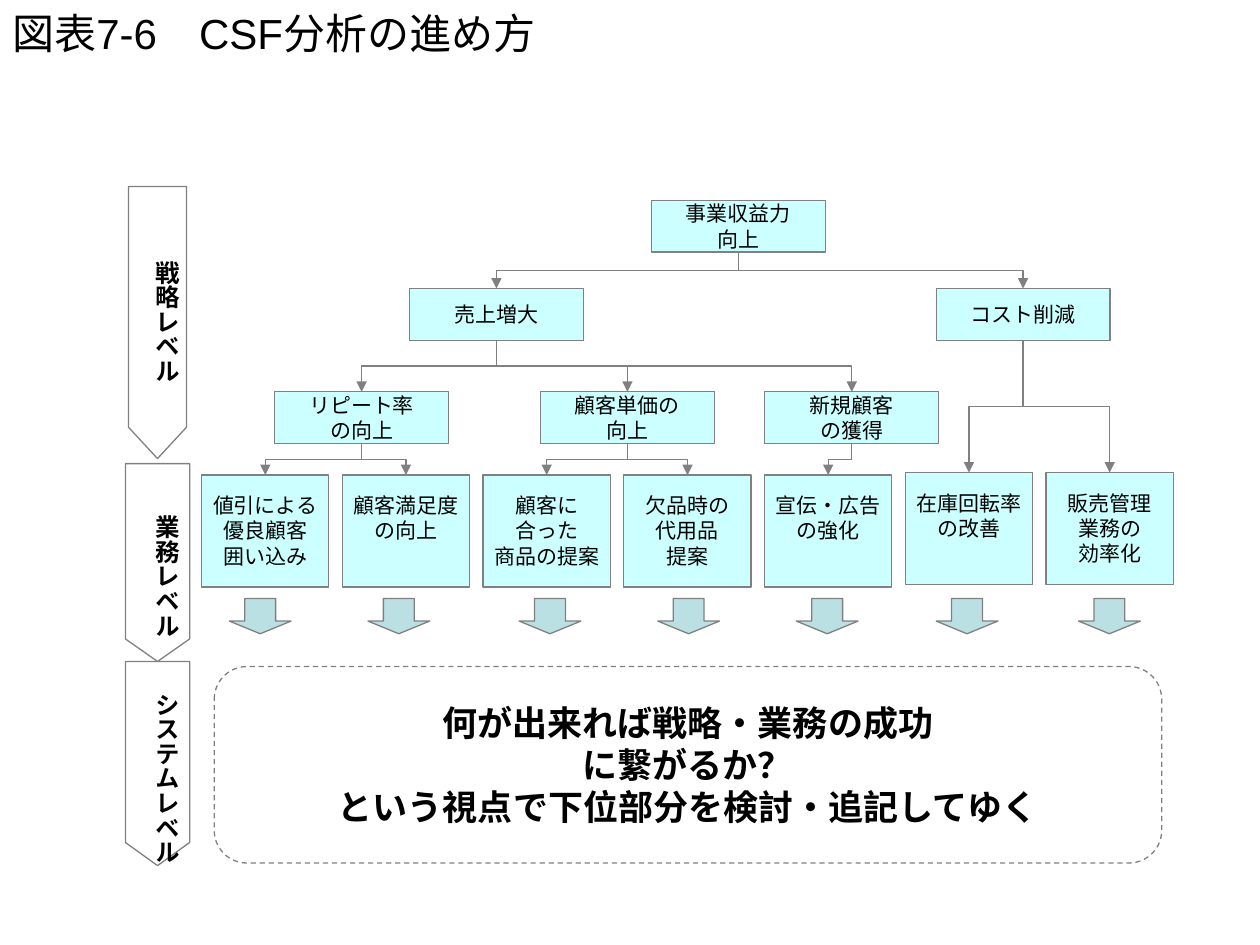
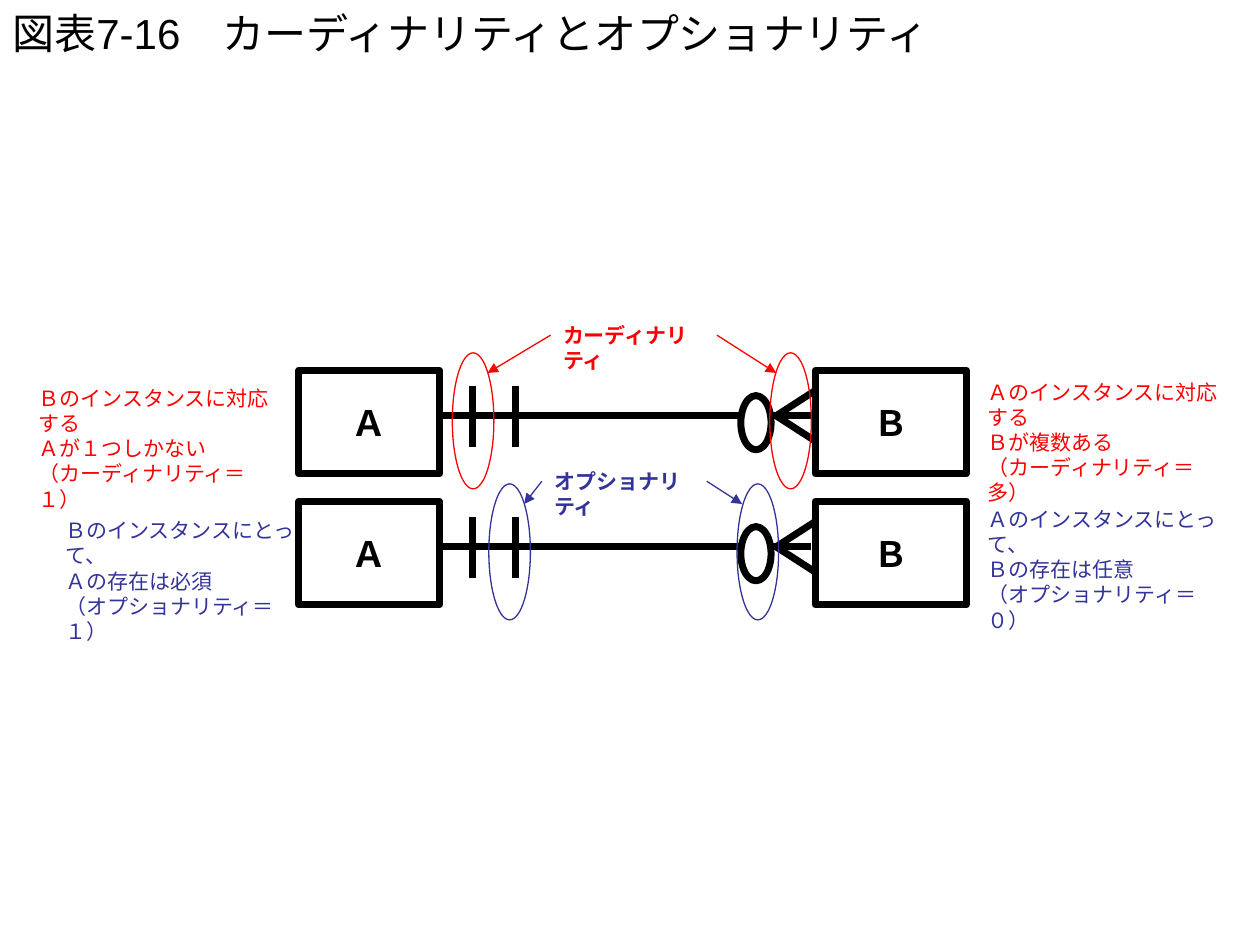
from dataclasses import dataclass
from typing import Optional

from lxml import etree
from pptx import Presentation
from pptx.dml.color import RGBColor
from pptx.enum import dml, shapes, text
from pptx.oxml import ns
from pptx.util import Inches, Pt

BLACK = RGBColor(0x00, 0x00, 0x00)
WHITE = RGBColor(0xFF, 0xFF, 0xFF)
GRAY = RGBColor(0x80, 0x80, 0x80)
PALE_CYAN = RGBColor(0xCC, 0xFF, 0xFF)
TEAL = RGBColor(0xBB, 0xE0, 0xE3)
RED = RGBColor(0xFF, 0x00, 0x00)
INDIGO = RGBColor(0x33, 0x33, 0x99)

JAPANESE = "Noto Sans CJK JP"
THIN, THICK = 0.75, 4
Shape = shapes.MSO_SHAPE
Anchor = text.MSO_ANCHOR
Align = text.PP_ALIGN


@dataclass(frozen=True)
class Style:
    size: float
    color: RGBColor = BLACK
    bold: bool = False
    font: str = JAPANESE
    align: Align = Align.CENTER


@dataclass(frozen=True)
class Box:
    left: float
    top: float
    width: float
    height: float

    @property
    def middle(self) -> float:
        return self.left + self.width / 2

    @property
    def bottom(self) -> float:
        return self.top + self.height

    def inches(self) -> tuple:
        return tuple(Inches(n) for n in (self.left, self.top, self.width, self.height))


@dataclass(frozen=True)
class Factor:
    lines: str
    left: float
    top: float
    parent: Optional[str] = None


@dataclass(frozen=True)
class Level:
    name: str
    top: float
    length: float
    thickness: float
    point: float
    label_top: float
    label_height: float


@dataclass(frozen=True)
class Note:
    lines: str
    box: Box


@dataclass(frozen=True)
class Relation:
    top: float
    color: RGBColor
    term: Note
    notes: tuple
    rings: tuple
    pointers: tuple


TITLE = Style(24, font="Arial", align=Align.LEFT)
FACTOR = Style(12)
LEVEL = Style(14, bold=True)
MESSAGE = Style(20, bold=True)

FACTORS = [
    Factor("事業収益力\n向上", 5.17, 1.59),
    Factor("売上増大", 3.25, 2.29, "事業収益力\n向上"),
    Factor("コスト削減", 7.43, 2.29, "事業収益力\n向上"),
    Factor("リピート率\nの向上", 2.18, 3.11, "売上増大"),
    Factor("顧客単価の\n向上", 4.29, 3.11, "売上増大"),
    Factor("新規顧客\nの獲得", 6.07, 3.11, "売上増大"),
]
ACTIONS = [
    ("値引による\n優良顧客\n囲い込み", "リピート率\nの向上"),
    ("顧客満足度\nの向上", "リピート率\nの向上"),
    ("顧客に\n合った\n商品の提案", "顧客単価の\n向上"),
    ("欠品時の\n代用品\n提案", "顧客単価の\n向上"),
    ("宣伝・広告\nの強化", "新規顧客\nの獲得"),
    ("在庫回転率\nの改善", "コスト削減"),
    ("販売管理\n業務の\n効率化", "コスト削減"),
]
ACTION_LEFT, ACTION_PITCH = 1.6, 1.117
DOWN_ARROW_LEFTS = (1.82, 2.92, 4.12, 5.22, 6.32, 7.43, 8.56)
LEVELS = [
    Level("戦略レベル", 1.48, 2.16, 0.46, 0.54, 1.97, 0.95),
    Level("業務レベル", 3.68, 1.57, 0.51, 0.35, 3.99, 0.95),
    Level("システムレベル", 5.25, 1.62, 0.51, 0.36, 5.4, 1.26),
]
LEVEL_MIDDLE = 1.25

RELATIONS = [
    Relation(
        2.94, RED, Note("カーディナリティ", Box(4.37, 2.51, 1.31, 0.3)),
        (Note("Ａのインスタンスに対応する\nＢが複数ある\n（カーディナリティ＝多）", Box(7.74, 2.96, 2.14, 0.7)),
         Note("Ｂのインスタンスに対応する\nＡが１つしかない\n（カーディナリティ＝１）", Box(0.21, 3.01, 2.15, 0.7))),
        (3.59, 6.11), ((4.37, 3.87), (5.69, 6.16))),
    Relation(
        3.98, INDIGO, Note("オプショナリティ", Box(4.3, 3.67, 1.3, 0.3)),
        (Note("Ａのインスタンスにとって、\nＢの存在は任意\n（オプショナリティ＝０）", Box(7.74, 3.97, 2.02, 0.7)),
         Note("Ｂのインスタンスにとって、\nＡの存在は必須\n（オプショナリティ＝１）", Box(0.42, 4.06, 2.03, 0.7))),
        (3.88, 5.85), ((4.3, 4.16), (5.61, 5.89))),
]


def write(shape, lines: str, style: Style, anchor=Anchor.MIDDLE, wrap: bool = False) -> None:
    frame = shape.text_frame
    frame.word_wrap = wrap
    frame.vertical_anchor = anchor
    for index, line in enumerate(lines.split("\n")):
        paragraph = frame.add_paragraph() if index else frame.paragraphs[0]
        paragraph.alignment = style.align
        run = paragraph.add_run()
        run.text = line
        run.font.name = style.font
        run.font.size = Pt(style.size)
        run.font.bold = style.bold
        run.font.color.rgb = style.color
        east_asian = etree.SubElement(run.font._element, ns.qn("a:ea"))
        east_asian.set("typeface", JAPANESE)


def add_text(slide, box: Box, lines: str, style: Style, anchor=Anchor.TOP):
    shape = slide.shapes.add_textbox(*box.inches())
    write(shape, lines, style, anchor, wrap=True)
    return shape


def add_shape(slide, kind, box: Box, fill=None, line=GRAY, width: float = THIN, adjustments=()):
    shape = slide.shapes.add_shape(kind, *box.inches())
    shape.shadow.inherit = False
    for index, value in enumerate(adjustments):
        shape.adjustments[index] = value
    if fill is None:
        shape.fill.background()
    else:
        shape.fill.solid()
        shape.fill.fore_color.rgb = fill
    shape.line.color.rgb = line
    shape.line.width = Pt(width)
    return shape


def add_line(slide, start: tuple, end: tuple, color, width: float,
             arrow: bool = False, kind=shapes.MSO_CONNECTOR.STRAIGHT):
    connector = slide.shapes.add_connector(kind, *(Inches(n) for n in start + end))
    connector.line.color.rgb = color
    connector.line.width = Pt(width)
    if arrow:
        etree.SubElement(connector.line._get_or_add_ln(), ns.qn("a:tailEnd")).set("type", "triangle")
    etree.SubElement(connector._element.spPr, ns.qn("a:effectLst"))
    return connector


def add_branch(slide, parent: Box, child: Box) -> None:
    drop = (child.top - parent.bottom) / 2
    reach = (child.middle - parent.middle) / 2
    center_x = parent.middle + reach
    center_y = parent.bottom + drop
    side = 1 if reach > 0 else -1
    connector = add_line(
        slide, (center_x + side * drop, center_y - abs(reach)),
        (center_x - side * drop, center_y + abs(reach)),
        GRAY, THIN, True, shapes.MSO_CONNECTOR.ELBOW)
    rotation = 270 if reach > 0 else 90
    connector._element.spPr.find(ns.qn("a:xfrm")).set("rot", str(rotation * 60000))


def add_slide(presentation, title: str):
    slide = presentation.slides.add_slide(presentation.slide_layouts[6])
    add_text(slide, Box(0, 0, 10, 0.52), title, TITLE, Anchor.MIDDLE)
    return slide


def add_factor_tree(slide) -> None:
    boxes = {}
    for factor in FACTORS:
        box = boxes[factor.lines] = Box(factor.left, factor.top, 1.38, 0.41)
        write(add_shape(slide, Shape.RECTANGLE, box, PALE_CYAN), factor.lines, FACTOR)
        if factor.parent:
            add_branch(slide, boxes[factor.parent], box)
    for index, (lines, parent) in enumerate(ACTIONS):
        top = 3.75 if parent == "コスト削減" else 3.77
        box = Box(ACTION_LEFT + index * ACTION_PITCH, top, 1.01, 0.89)
        shape = add_shape(slide, Shape.RECTANGLE, box, PALE_CYAN)
        shape.text_frame.margin_top = Inches(0.14)
        write(shape, lines, FACTOR, Anchor.TOP)
        add_branch(slide, boxes[parent], box)


def add_level(slide, level: Level) -> None:
    center_y = level.top + level.length / 2
    box = Box(LEVEL_MIDDLE - level.length / 2, center_y - level.thickness / 2,
              level.length, level.thickness)
    add_shape(slide, Shape.PENTAGON, box, WHITE, adjustments=(level.point,)).rotation = 90
    label = slide.shapes.add_textbox(*Box(1.06, level.label_top, 0.43, level.label_height).inches())
    write(label, level.name, LEVEL, Anchor.TOP)
    label.text_frame.auto_size = text.MSO_AUTO_SIZE.SHAPE_TO_FIT_TEXT
    label.text_frame._txBody.bodyPr.set("vert", "eaVert")


def build_csf_slide(presentation) -> None:
    slide = add_slide(presentation, "図表7-6　CSF分析の進め方")
    add_factor_tree(slide)
    for level in LEVELS:
        add_level(slide, level)
    message = add_shape(slide, Shape.ROUNDED_RECTANGLE, Box(1.7, 5.29, 7.52, 1.56), WHITE)
    message.line.dash_style = dml.MSO_LINE.DASH
    write(message, "何が出来れば戦略・業務の成功\nに繋がるか？\nという視点で下位部分を検討・追記してゆく", MESSAGE)
    for left in DOWN_ARROW_LEFTS:
        add_shape(slide, Shape.DOWN_ARROW, Box(left, 4.75, 0.49, 0.28), TEAL, adjustments=(0.5, 0.36))


def add_relation(slide, relation: Relation) -> None:
    top = relation.top
    axis = top + 0.36
    for name, left, width in (("Ａ", 2.37, 1.12), ("Ｂ", 6.47, 1.2)):
        entity = add_shape(slide, Shape.RECTANGLE, Box(left, top, width, 0.82), None, BLACK, THICK)
        write(entity, name, MESSAGE)
    add_line(slide, (3.5, axis), (6.44, axis), BLACK, THICK)
    add_shape(slide, Shape.OVAL, Box(5.88, top + 0.2, 0.24, 0.43), WHITE, BLACK, THICK)
    for offset in (-0.2, 0.2):
        add_line(slide, (6.47, axis + offset), (6.16, axis), BLACK, THICK)
    for bar in (3.75, 4.09):
        add_line(slide, (bar, axis + 0.25), (bar, axis - 0.24), BLACK, THICK)

    note_style = Style(12, relation.color, font="Times New Roman", align=Align.LEFT)
    for note in relation.notes:
        add_text(slide, note.box, note.lines, note_style)
    term_style = Style(12, relation.color, bold=True, align=Align.LEFT)
    add_text(slide, relation.term.box, relation.term.lines, term_style)
    for ring in relation.rings:
        add_shape(slide, Shape.OVAL, Box(ring, top - 0.14, 0.33, 1.08), None, relation.color)
    start_y = relation.term.box.top + 0.15
    end_y = top + 0.02
    for start_x, end_x in relation.pointers:
        add_line(slide, (start_x, start_y), (end_x, end_y), relation.color, THIN, True)


def build_cardinality_slide(presentation) -> None:
    slide = add_slide(presentation, "図表7-16　カーディナリティとオプショナリティ")
    for relation in RELATIONS:
        add_relation(slide, relation)


def main() -> None:
    presentation = Presentation()
    presentation.slide_width = Inches(10)
    presentation.slide_height = Inches(7.5)
    build_csf_slide(presentation)
    build_cardinality_slide(presentation)
    presentation.save("out.pptx")


if __name__ == "__main__":
    main()
